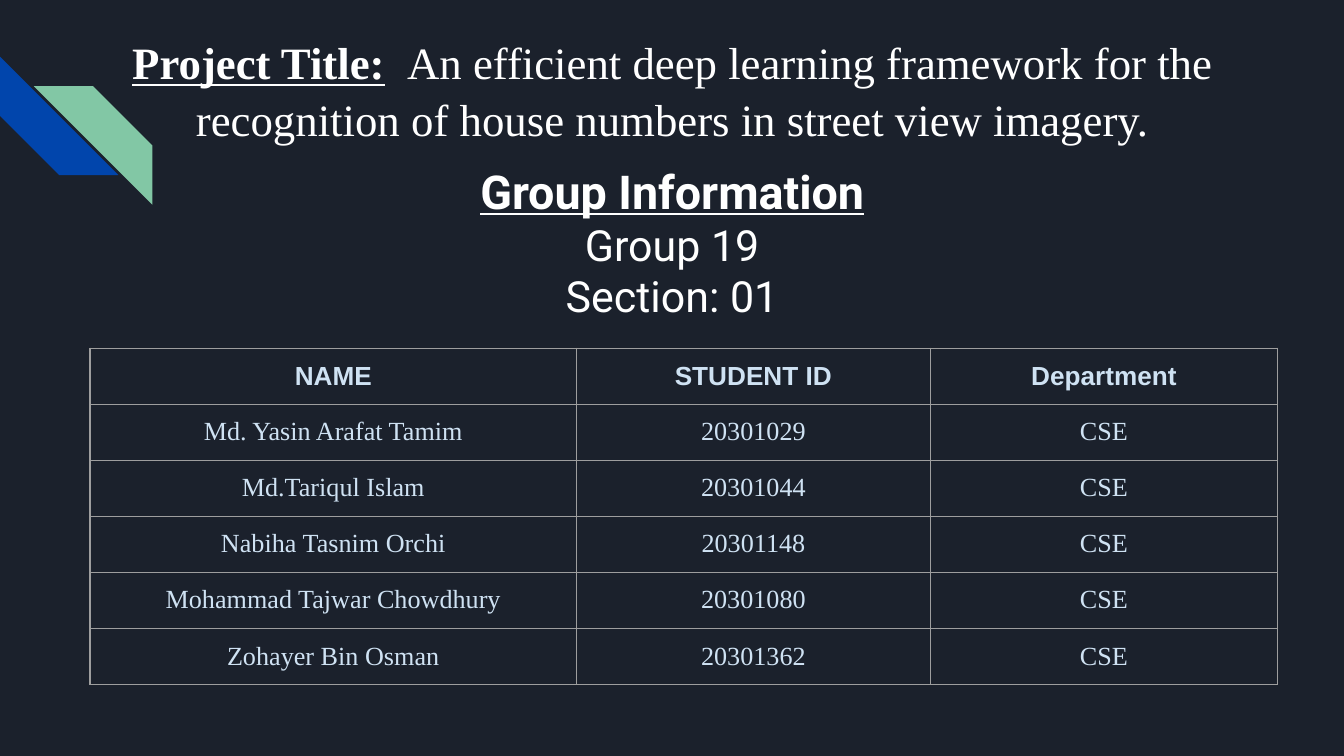
from lxml import etree
from pptx import Presentation
from pptx.dml.color import RGBColor
from pptx.enum.shapes import MSO_SHAPE
from pptx.enum.text import MSO_ANCHOR, PP_ALIGN
from pptx.oxml.ns import qn
from pptx.util import Cm, Pt

CENTER, TOP = PP_ALIGN.CENTER, MSO_ANCHOR.TOP
STRIPE = MSO_SHAPE.DIAGONAL_STRIPE

COLORS = {"bg": "1B212C", "blue": "0145AC", "green": "82C7A5",
          "title": "FFFFFF", "cell": "CFE2F3", "border": "9E9E9E"}
SERIF, SANS, HEAD = "Times New Roman", "Roboto", "Arial"

# Content: runs are (text, font, size, bold, underline)
TITLE = [[("Project Title:", SERIF, 24, True, True),
          ("  ", SERIF, 24, True, False),
          ("An efficient deep learning framework for the recognition of "
           "house numbers in street view imagery.", SERIF, 24, False, False)]]
GROUP = [[("Group Information", SANS, 25, True, True)],
         [("Group 19", SANS, 23, False, False)],
         [("Section: 01", SANS, 23, False, False)]]
HEADER = ("NAME", "STUDENT ID", "Department")
DEPARTMENT = "CSE"
STUDENTS = [("Md. Yasin Arafat Tamim", "20301029"),
            ("Md.Tariqul Islam", "20301044"),
            ("Nabiha Tasnim Orchi", "20301148"),
            ("Mohammad Tajwar Chowdhury", "20301080"),
            ("Zohayer Bin Osman", "20301362")]

# Layout in cm: left, top, width, height
TITLE_BOX = (0.87, 0.36, 23.67, 2.46)
GROUP_BOX = (0.87, 2.82, 23.67, 3.38)
STRIPES = [("blue", 0, 1.07, 270), ("green", 0.64, 1.63, 90)]
STRIPE_SIZE = 2.24
TABLE_LEFT, TABLE_TOP, ROW_HEIGHT = 1.7, 6.58, 1.06
COLUMNS = (9.2, 6.68, 6.57)
INSET = 0.25


def rgb(name):
    return RGBColor.from_string(COLORS[name])


def style(r, font, size, bold, underline, color):
    r.font.name, r.font.size = font, Pt(size)
    r.font.bold, r.font.underline = bold, underline
    r.font.color.rgb = rgb(color)


def fill_placeholder(sp, box, paragraphs, spacing):
    sp.left, sp.top, sp.width, sp.height = map(Cm, box)
    tf = sp.text_frame
    tf.word_wrap, tf.vertical_anchor = True, TOP
    tf.margin_left = tf.margin_right = Cm(INSET)
    tf.margin_top = tf.margin_bottom = Cm(INSET)
    for i, runs in enumerate(paragraphs):
        p = tf.add_paragraph() if i else tf.paragraphs[0]
        p.alignment, p.line_spacing = CENTER, spacing
        p.space_before = p.space_after = Pt(0)
        for text, *look in runs:
            r = p.add_run()
            r.text = text
            style(r, *look, "title")


def set_borders(cell):
    tcPr = cell._tc.get_or_add_tcPr()
    for i, side in enumerate(("a:lnL", "a:lnR", "a:lnT", "a:lnB")):
        ln = etree.Element(qn(side), w=str(Pt(0.75)))
        fill = etree.SubElement(ln, qn("a:solidFill"))
        etree.SubElement(fill, qn("a:srgbClr"), val=COLORS["border"])
        tcPr.insert(i, ln)


def fill_cell(cell, text, font, bold):
    cell.fill.background()
    cell.margin_left = cell.margin_right = Cm(INSET)
    cell.margin_top = cell.margin_bottom = Cm(INSET)
    cell.text = text
    p = cell.text_frame.paragraphs[0]
    p.alignment = CENTER
    style(p.runs[0], font, 14, bold, False, "cell")
    set_borders(cell)


prs = Presentation()
prs.slide_width, prs.slide_height = Cm(25.4), Cm(14.29)
s = prs.slides.add_slide(prs.slide_layouts[0])
s.background.fill.solid()
s.background.fill.fore_color.rgb = rgb("bg")

# Corner stripes
for color, left, top, angle in STRIPES:
    sp = s.shapes.add_shape(STRIPE, Cm(left), Cm(top),
                            Cm(STRIPE_SIZE), Cm(STRIPE_SIZE))
    sp.rotation = angle
    sp.shadow.inherit = False
    sp.fill.solid()
    sp.fill.fore_color.rgb = rgb(color)
    sp.line.fill.background()

# Project title and group information
fill_placeholder(s.shapes.title, TITLE_BOX, TITLE, 1.05)
fill_placeholder(s.placeholders[1], GROUP_BOX, GROUP, 1)

# Student table
rows = [HEADER] + [(*student, DEPARTMENT) for student in STUDENTS]
table = s.shapes.add_table(len(rows), len(COLUMNS), Cm(TABLE_LEFT),
                           Cm(TABLE_TOP), Cm(sum(COLUMNS)),
                           Cm(ROW_HEIGHT * len(rows))).table
table.horz_banding = False
for column, width in zip(table.columns, COLUMNS):
    column.width = Cm(width)
for i, row in enumerate(rows):
    table.rows[i].height = Cm(ROW_HEIGHT)
    for j, text in enumerate(row):
        fill_cell(table.cell(i, j), text, SERIF if i else HEAD, i == 0)

prs.save("out.pptx")
